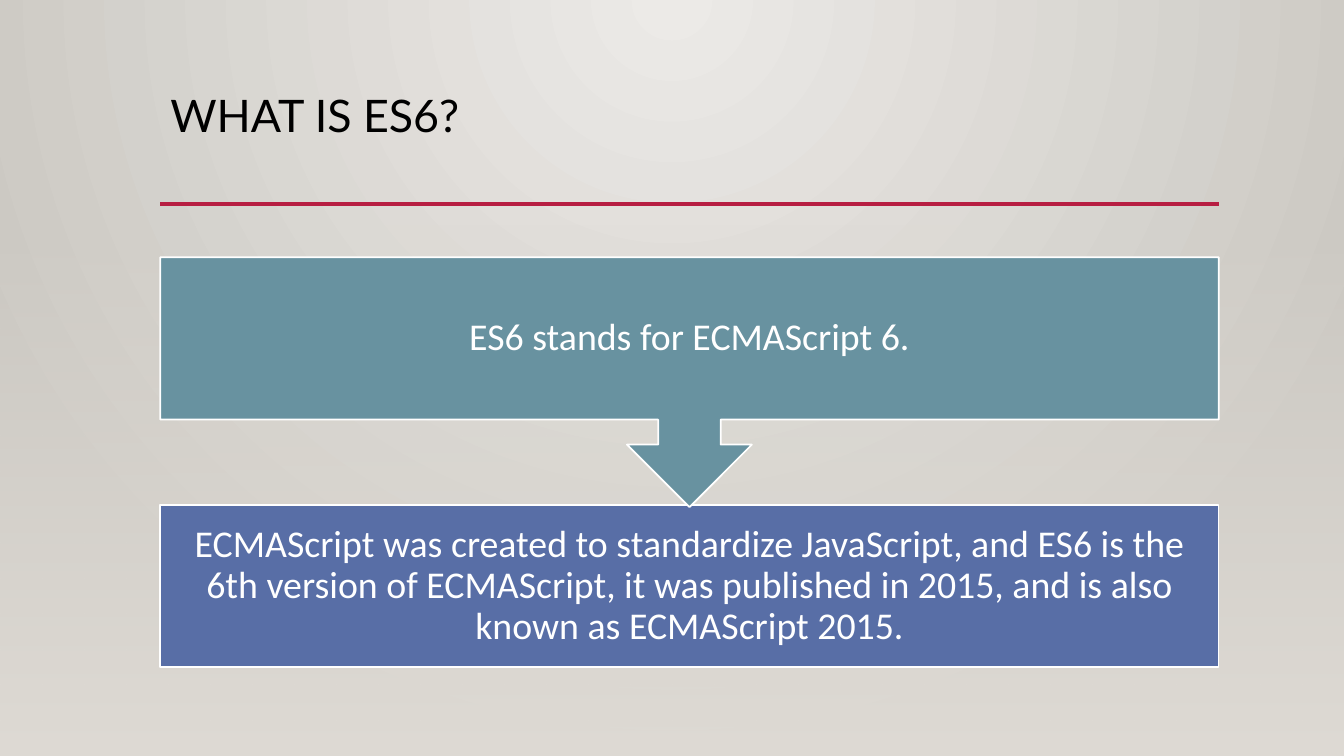
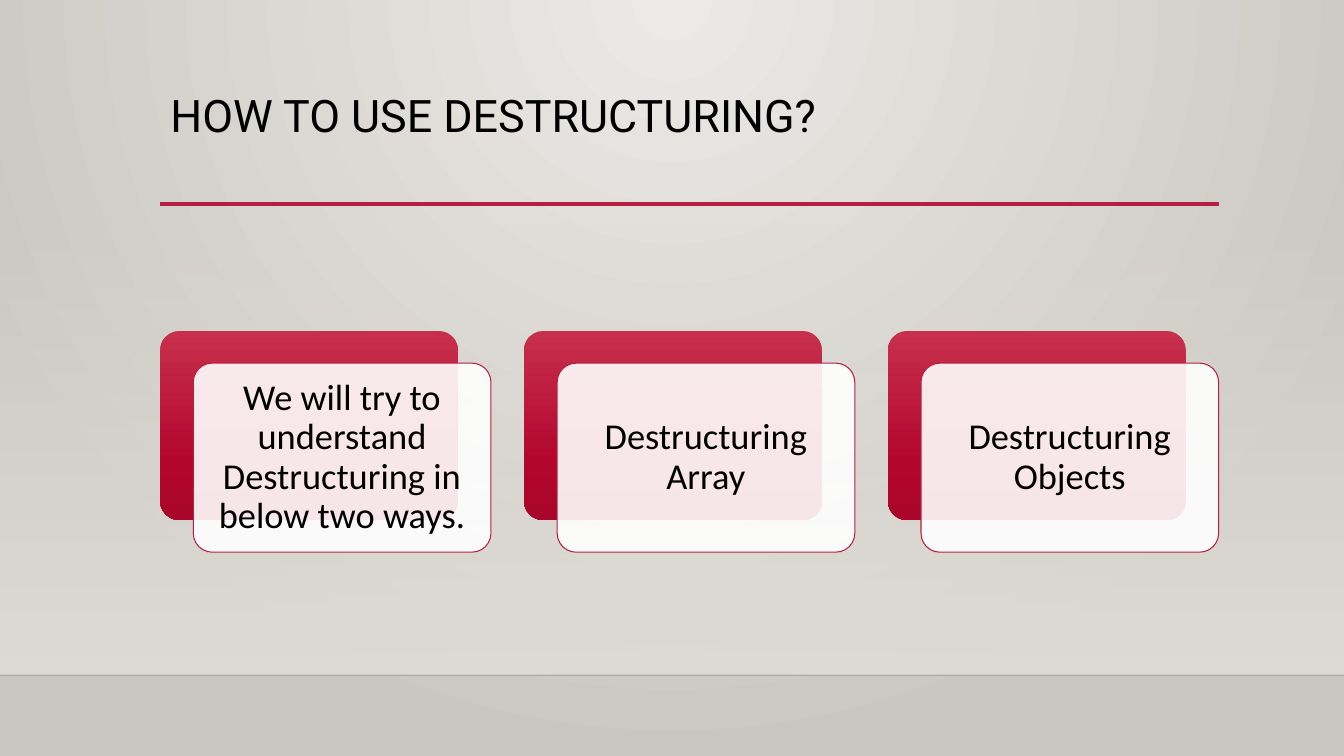
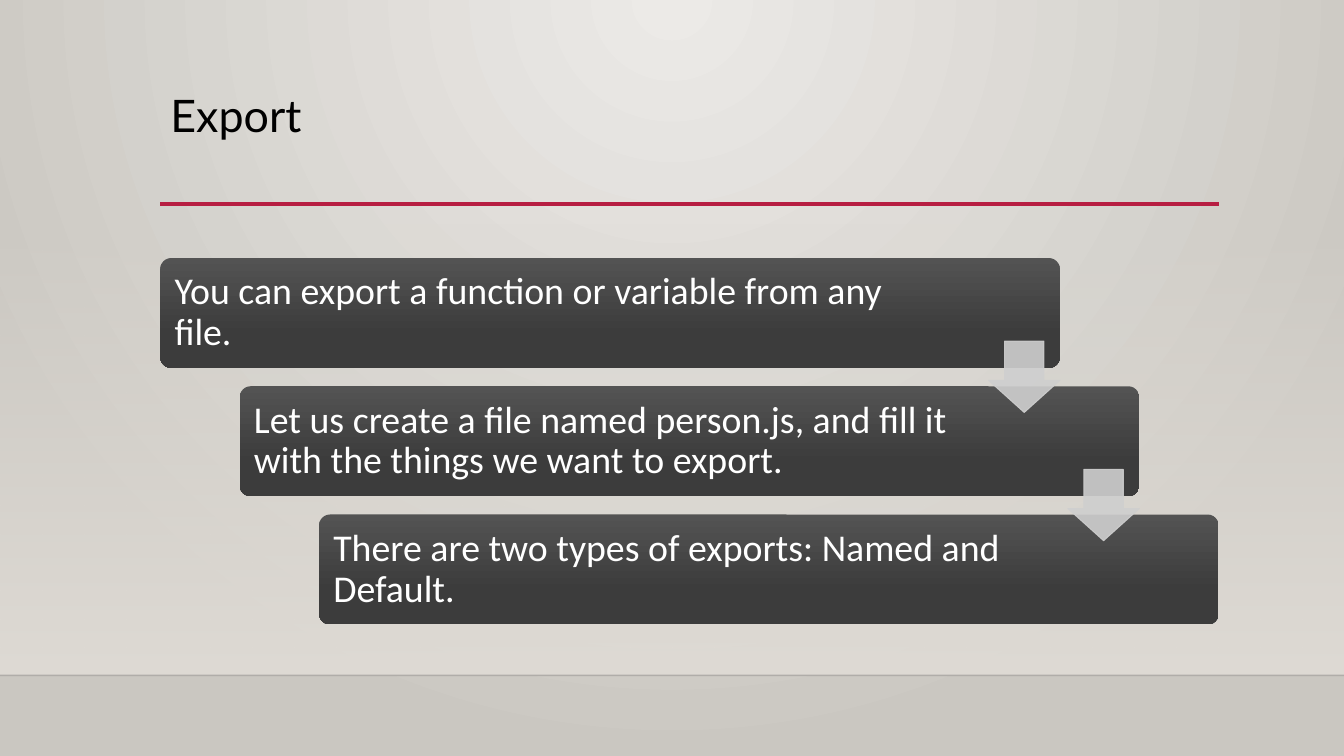
import dataclasses

import lxml.etree
import pptx
import pptx.dml.color
import pptx.enum.shapes
import pptx.enum.text
import pptx.oxml.ns
import pptx.util

Pt = pptx.util.Pt
qn = pptx.oxml.ns.qn
MSO_SHAPE = pptx.enum.shapes.MSO_SHAPE
PP_ALIGN = pptx.enum.text.PP_ALIGN
MSO_ANCHOR = pptx.enum.text.MSO_ANCHOR


@dataclasses.dataclass(frozen=True)
class Theme:
    width: float = 960
    height: float = 540
    left: float = 114.5
    content: float = 756
    band_top: float = 159.1
    floor: float = 482.4
    rule_y: float = 145.6
    black: str = "000000"
    white: str = "FFFFFF"
    accent: str = "B71E42"
    floor_line: str = "000001"
    teal: str = "6892A0"
    blue: str = "586EA6"
    silver: str = "CFCFCF"
    backdrop: tuple = ((0, "ECEAE7", 100), (100, "CAC7C1", 100))
    band: tuple = ((0, "DFDBD5", 0), (100, "DFDBD5", 100))
    red: tuple = ((0, "C7304C", 100), (69, "B3062F", 100), (100, "AA062C", 100))
    gray: tuple = ((0, "535353", 100), (69, "3C3C3C", 100), (100, "393939", 100))
    title_font: str = "Lato"
    body_font: str = "Calibri"
    title_size: float = 32
    body_size: float = 27
    card_size: float = 26
    leading: float = 0.9


class Deck:
    def __init__(self, theme):
        self.theme = theme
        self.prs = pptx.Presentation()
        self.prs.slide_width = Pt(theme.width)
        self.prs.slide_height = Pt(theme.height)
        master = self.prs.slide_master
        self.gradient(master, master.background.fill, theme.backdrop, radial=True)

    def rgb(self, color):
        return pptx.dml.color.RGBColor.from_string(color)

    def alpha(self, clr, percent):
        if percent < 100:
            lxml.etree.SubElement(clr, qn("a:alpha"), val=str(percent * 1000))

    def fade(self, parent, percent):
        self.alpha(parent.find(qn("a:solidFill") + "/" + qn("a:srgbClr")), percent)

    def gradient(self, owner, fill, stops, radial=False):
        fill.gradient()
        grad = owner.element.find(".//" + qn("a:gradFill"))
        for child in list(grad):
            grad.remove(child)
        gs_list = lxml.etree.SubElement(grad, qn("a:gsLst"))
        for pos, color, percent in stops:
            gs = lxml.etree.SubElement(gs_list, qn("a:gs"), pos=str(pos * 1000))
            clr = lxml.etree.SubElement(gs, qn("a:srgbClr"), val=color)
            self.alpha(clr, percent)
        if radial:
            circle = lxml.etree.SubElement(grad, qn("a:path"), path="circle")
            lxml.etree.SubElement(circle, qn("a:fillToRect"),
                                  l="43000", t="0", r="43000", b="100000")
        else:
            lxml.etree.SubElement(grad, qn("a:lin"), ang="5400000", scaled="0")

    def outline(self, sp, color, width, percent=100):
        sp.line.color.rgb = self.rgb(color)
        sp.line.width = Pt(width)
        self.fade(sp.element.spPr.find(qn("a:ln")), percent)

    def shape(self, kind, x, y, w, h, fill, line=None, width=0.75,
              percent=100, line_percent=100, adj=()):
        sp = self.slide.shapes.add_shape(kind, Pt(x), Pt(y), Pt(w), Pt(h))
        sp.shadow.inherit = False
        for i, value in enumerate(adj):
            sp.adjustments[i] = value
        if isinstance(fill, tuple):
            self.gradient(sp, sp.fill, fill)
        else:
            sp.fill.solid()
            sp.fill.fore_color.rgb = self.rgb(fill)
            self.fade(sp.element.spPr, percent)
        if line:
            self.outline(sp, line, width, line_percent)
        else:
            sp.line.fill.background()
        return sp

    def line(self, x1, x2, y, color, width, percent=100):
        cxn = self.slide.shapes.add_connector(
            pptx.enum.shapes.MSO_CONNECTOR.STRAIGHT, Pt(x1), Pt(y), Pt(x2), Pt(y))
        self.outline(cxn, color, width, percent)
        lxml.etree.SubElement(cxn.element.spPr, qn("a:effectLst"))

    def text(self, sp, text, size, color, font, align=PP_ALIGN.CENTER,
             anchor=MSO_ANCHOR.MIDDLE, margins=(7.9, 7.9, 7.9, 7.9)):
        tf = sp.text_frame
        tf.text = text
        tf.word_wrap = True
        tf.auto_size = pptx.enum.text.MSO_AUTO_SIZE.NONE
        tf.vertical_anchor = anchor
        tf.margin_left, tf.margin_top, tf.margin_right, tf.margin_bottom = map(Pt, margins)
        p = tf.paragraphs[0]
        p.alignment = align
        p.line_spacing = self.theme.leading
        r = p.runs[0]
        r.font.name = font
        r.font.size = Pt(size)
        r.font.color.rgb = self.rgb(color)

    def new_slide(self, title, font=None, floor=True):
        t = self.theme
        self.slide = self.prs.slides.add_slide(self.prs.slide_layouts[5])
        bottom = t.floor if floor else t.height
        self.shape(MSO_SHAPE.RECTANGLE, 0, t.band_top, t.width, bottom - t.band_top, t.band)
        if floor:
            self.line(0, t.width, t.floor, t.floor_line, 1, 20)
        self.line(t.left, t.left + t.content, t.rule_y, t.accent, 2.5)
        sp = self.slide.shapes.title
        sp.left, sp.top, sp.width, sp.height = Pt(t.left), Pt(63.4), Pt(t.content), Pt(82.8)
        self.text(sp, title, t.title_size, t.black, font or t.title_font,
                  PP_ALIGN.LEFT, MSO_ANCHOR.TOP, (7.2, 3.6, 7.2, 3.6))

    def block(self, kind, y, h, fill, text):
        t = self.theme
        sp = self.shape(kind, t.left, y, t.content, h, fill, t.white, 1.25)
        self.text(sp, text, t.body_size, t.white, t.body_font, margins=(15.1,) * 4)

    def card(self, x, y, w, h, shift, text):
        t = self.theme
        self.shape(MSO_SHAPE.ROUNDED_RECTANGLE, x, y, w, h, t.red, adj=(0.1,))
        sp = self.shape(MSO_SHAPE.ROUNDED_RECTANGLE, x + shift, y + shift - 0.6, w, h,
                        t.white, t.accent, percent=90, adj=(0.1,))
        self.text(sp, text, t.card_size, t.black, t.body_font)

    def step(self, x, y, w, h, text):
        t = self.theme
        sp = self.shape(MSO_SHAPE.ROUNDED_RECTANGLE, x, y, w, h, t.gray, adj=(0.1,))
        self.text(sp, text, t.body_size, t.white, t.body_font, PP_ALIGN.LEFT,
                  margins=(7.9, 7.9, 116, 7.9))

    def arrow(self, x, y, size):
        t = self.theme
        self.shape(MSO_SHAPE.DOWN_ARROW, x, y, size, size, t.silver, t.silver,
                   percent=90, line_percent=90, adj=(0.55, 0.45))


def what_is_es6(deck):
    t = deck.theme
    deck.new_slide("WHAT IS ES6?", floor=False)
    deck.block(MSO_SHAPE.RECTANGLE, 360.6, 116, t.blue,
               "ECMAScript was created to standardize JavaScript, and ES6 is the 6th version of "
               "ECMAScript, it was published in 2015, and is also known as ECMAScript 2015.")
    deck.block(MSO_SHAPE.DOWN_ARROW_CALLOUT, 183.7, 178.5, t.teal,
               "ES6 stands for ECMAScript 6.")


def destructuring(deck):
    t = deck.theme
    deck.new_slide("HOW TO USE DESTRUCTURING?", font="Roboto")
    cards = ("We will try to understand Destructuring in below two ways.",
             "Destructuring Array", "Destructuring Objects")
    w, h, shift = 212.6, 135, 23.6
    pitch = (t.content - w - shift) / (len(cards) - 1)
    for i, text in enumerate(cards):
        deck.card(t.left + i * pitch, 236.4, w, h, shift, text)


def export(deck):
    t = deck.theme
    deck.new_slide("Export")
    steps = ("You can export a function or variable from any file.",
             "Let us create a file named person.js, and fill it with the things we want to export.",
             "There are two types of exports: Named and Default.")
    w, h, top, drop, size = 642.6, 78.5, 184.3, 91.6, 51
    indent = (t.content - w) / (len(steps) - 1)
    for i, text in enumerate(steps):
        deck.step(t.left + i * indent, top + i * drop, w, h, text)
    for i in range(len(steps) - 1):
        deck.arrow(t.left + i * indent + w - size, top + i * drop + 59.3, size)


def main():
    deck = Deck(Theme())
    for build in (what_is_es6, destructuring, export):
        build(deck)
    deck.prs.save("out.pptx")


if __name__ == "__main__":
    main()
